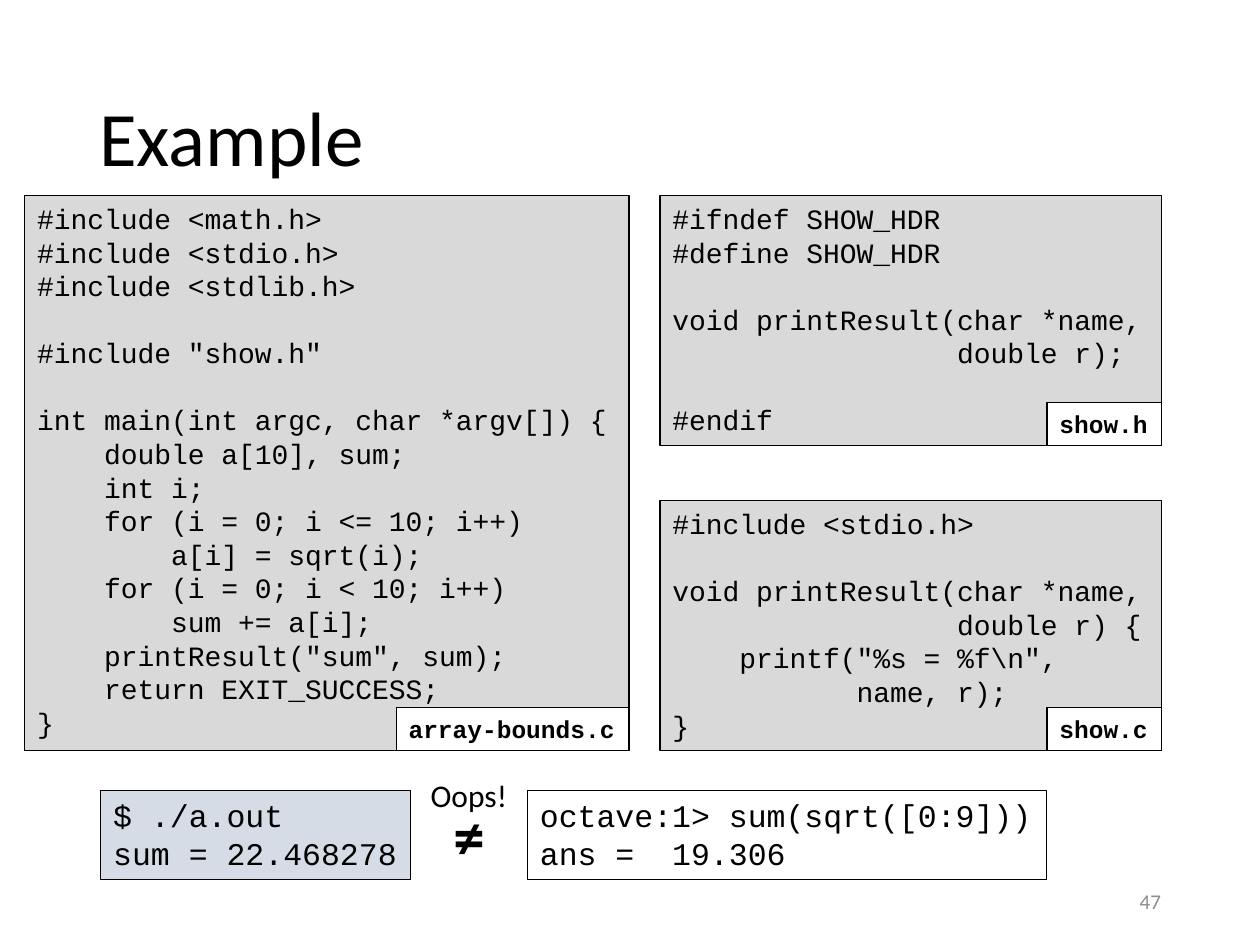
from pptx import Presentation
from pptx.dml.color import RGBColor
from pptx.enum.shapes import MSO_SHAPE
from pptx.enum.text import MSO_ANCHOR, MSO_AUTO_SIZE, PP_ALIGN
from pptx.util import Pt

RECT = MSO_SHAPE.RECTANGLE
MIDDLE = MSO_ANCHOR.MIDDLE
TOP = MSO_ANCHOR.TOP
LEFT, RIGHT = PP_ALIGN.LEFT, PP_ALIGN.RIGHT
GROW, FIXED = MSO_AUTO_SIZE.SHAPE_TO_FIT_TEXT, MSO_AUTO_SIZE.NONE

COLORS = {"black": "000000", "white": "FFFFFF", "code": "D9D9D9",
          "shell": "D6DCE5", "number": "8C8C8C"}
MONO, SANS = "Courier New", "Calibri"
TITLE_ONLY = 5
TAG_H = 24.5

ARRAY_BOUNDS = r'''#include <math.h>
#include <stdio.h>
#include <stdlib.h>

#include "show.h"

int main(int argc, char *argv[]) {
    double a[10], sum;
    int i;
    for (i = 0; i <= 10; i++)
        a[i] = sqrt(i);
    for (i = 0; i < 10; i++)
        sum += a[i];
    printResult("sum", sum);
    return EXIT_SUCCESS;
}'''

SHOW_H = r'''#ifndef SHOW_HDR
#define SHOW_HDR

void printResult(char *name,
                 double r);

#endif'''

SHOW_C = r'''#include <stdio.h>

void printResult(char *name,
                 double r) {
    printf("%s = %f\n",
           name, r);
}'''


def color(name):
    return RGBColor.from_string(COLORS[name])


def write(sp, text, size, font, ink="black", bold=False, align=LEFT,
          anchor=TOP, wrap=False):
    tf = sp.text_frame
    tf.text = text
    tf.word_wrap = wrap
    tf.auto_size = FIXED if wrap else GROW
    tf.vertical_anchor = anchor
    for p in tf.paragraphs:
        p.alignment = align
        p.font.size = Pt(size)
        p.font.name = font
        p.font.bold = bold
        p.font.color.rgb = color(ink)


def add_box(slide, box, text, size, fill=None, bold=False):
    sp = slide.shapes.add_shape(RECT, *map(Pt, box))
    sp.shadow.inherit = False
    if fill:
        sp.fill.solid()
        sp.fill.fore_color.rgb = color(fill)
    else:
        sp.fill.background()
    sp.line.color.rgb = color("black")
    sp.line.width = Pt(0.75)
    write(sp, text, size, MONO, bold=bold)


def add_label(slide, box, text, size, **style):
    sp = slide.shapes.add_textbox(*map(Pt, box))
    write(sp, text, size, SANS, **style)


def add_title(slide, box, text):
    sp = slide.shapes.title
    sp.left, sp.top, sp.width, sp.height = map(Pt, box)
    write(sp, text, 44, SANS, anchor=MIDDLE, wrap=True)
    sp.text_frame.paragraphs[0].line_spacing = 0.9


def add_listing(slide, box, code, file_name, tag_w):
    """Code panel with its file name in the bottom right corner."""
    x, y, w, h = box
    add_box(slide, box, code, 16, "code")
    tag = (x + w - tag_w, y + h - TAG_H, tag_w, TAG_H)
    add_box(slide, tag, file_name, 14, "white", bold=True)


def add_comparison(slide, box):
    """Program output set against the expected result."""
    x, y, w, h = box
    shell_w, octave_w = 177, 296.6
    add_box(slide, (x, y, shell_w, h),
            "$ ./a.out\nsum = 22.468278", 18, "shell")
    add_box(slide, (x + w - octave_w, y, octave_w, h),
            "octave:1> sum(sqrt([0:9]))\nans =  19.306", 18)
    add_label(slide, (x + 194.4, y, 34.6, h), "≠", 36, bold=True)
    add_label(slide, (x + 181.4, y - 11.5, 58.3, 29), "Oops!", 18)


def main():
    prs = Presentation()
    prs.slide_width, prs.slide_height = Pt(720), Pt(540)
    slide = prs.slides.add_slide(prs.slide_layouts[TITLE_ONLY])

    add_title(slide, (49.5, 28.8, 621, 104.4), "Example")

    # Source files
    top, bottom = 111.6, 429
    right_x, right_w, right_h = 377.2, 286.7, 143
    add_listing(slide, (14.2, top, 345.2, bottom - top),
                ARRAY_BOUNDS, "array-bounds.c", 133)
    add_listing(slide, (right_x, bottom - right_h, right_w, right_h),
                SHOW_C, "show.c", 65.6)
    add_listing(slide, (right_x, top, right_w, right_h),
                SHOW_H, "show.h", 65.6)

    # Results
    add_comparison(slide, (57.6, 451.6, 540.4, 51))

    # Slide number
    add_label(slide, (508.5, 500.5, 162, 28.8), "47", 12, ink="number",
              align=RIGHT, anchor=MIDDLE, wrap=True)

    prs.save("out.pptx")


if __name__ == "__main__":
    main()
